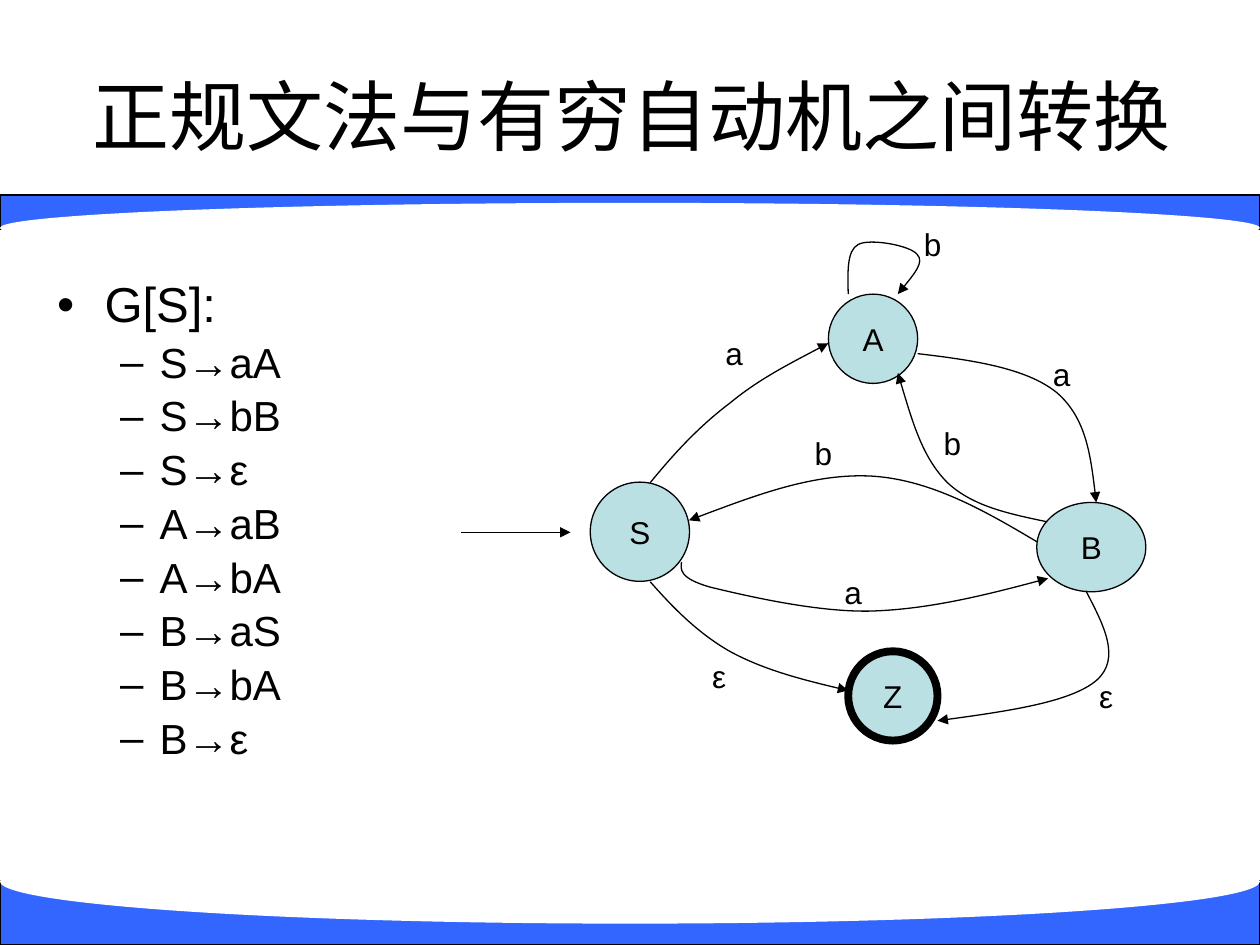
import pptx
import pptx.dml.color
import pptx.enum.shapes
import pptx.enum.text
import pptx.oxml.ns
import pptx.util
from lxml import etree

Cm = pptx.util.Cm
Pt = pptx.util.Pt
qn = pptx.oxml.ns.qn
RGBColor = pptx.dml.color.RGBColor
MSO_SHAPE = pptx.enum.shapes.MSO_SHAPE
MSO_ANCHOR = pptx.enum.text.MSO_ANCHOR
MSO_AUTO_SIZE = pptx.enum.text.MSO_AUTO_SIZE
PP_ALIGN = pptx.enum.text.PP_ALIGN

COLORS = {"band": "3366FF", "paper": "FFFFFF", "ink": "000000", "state": "BBE0E3"}
PALETTE = {name: RGBColor.from_string(value) for name, value in COLORS.items()}


def write_centered(shape, text):
    frame = shape.text_frame
    frame.text = text
    frame.word_wrap = False
    frame.vertical_anchor = MSO_ANCHOR.MIDDLE
    frame.margin_left = frame.margin_right = frame.margin_top = frame.margin_bottom = 0
    paragraph = frame.paragraphs[0]
    paragraph.alignment = PP_ALIGN.CENTER
    font = paragraph.runs[0].font
    font.name, font.size, font.color.rgb = "Arial", Pt(18), PALETTE["ink"]


def draw_arrow_line(shape):
    """Give a line or curve a thin dark stroke ending in a triangle."""
    shape.line.color.rgb = PALETTE["ink"]
    shape.line.width = Pt(0.75)
    stroke = shape.element.find(".//" + qn("a:ln"))
    etree.SubElement(stroke, qn("a:tailEnd"), type="triangle")


presentation = pptx.Presentation()
presentation.slide_width, presentation.slide_height = Cm(25.4), Cm(19.05)
slide = presentation.slides.add_slide(presentation.slide_layouts[1])

# Title
title = slide.shapes.title
title.left, title.top, title.width, title.height = Cm(1.31), Cm(0.73), Cm(22.86), Cm(3.18)
title.text_frame.text = "正规文法与有穷自动机之间转换"
title.text_frame.auto_size = MSO_AUTO_SIZE.NONE
title.text_frame.vertical_anchor = MSO_ANCHOR.MIDDLE
title.text_frame.paragraphs[0].alignment = PP_ALIGN.CENTER
title_font = title.text_frame.paragraphs[0].runs[0].font
title_font.name, title_font.size, title_font.color.rgb = "Arial", Pt(44), PALETTE["ink"]

# Grammar rules
body = slide.placeholders[1]
body.left, body.top, body.width, body.height = Cm(0.9), Cm(5.53), Cm(10.85), Cm(10.8)
rules = ["S→aA", "S→bB", "S→ε", "A→aB", "A→bA", "B→aS", "B→bA", "B→ε"]
body.text_frame.text = "\n".join(["G[S]:"] + rules)
body.text_frame.auto_size = MSO_AUTO_SIZE.NONE
for index, paragraph in enumerate(body.text_frame.paragraphs):
    paragraph.level = 1 if index else 0
    paragraph.line_spacing = 0.9
    if index == 0:
        paragraph.space_before = Pt(0)
    font = paragraph.runs[0].font
    font.name, font.size = "Arial", Pt(24 if index else 28)
    font.color.rgb = PALETTE["ink"]

# Blue bands, each curved by a white ellipse: top and height of both
bands = [(3.93, 0.69, 4.09, 1.01), (17.75, 1.3, 16.92, 1.7)]
master_tree = presentation.slide_master.shapes.element
for band_top, band_height, curve_top, curve_height in bands:
    group = slide.shapes.add_group_shape()
    band = group.shapes.add_shape(
        MSO_SHAPE.RECTANGLE, 0, Cm(band_top), Cm(25.4), Cm(band_height))
    band.fill.solid()
    band.fill.fore_color.rgb = PALETTE["band"]
    band.line.color.rgb = PALETTE["ink"]
    band.line.width = Pt(0.75)
    curve = group.shapes.add_shape(
        MSO_SHAPE.OVAL, 0, Cm(curve_top), Cm(25.4), Cm(curve_height))
    curve.fill.solid()
    curve.fill.fore_color.rgb = PALETTE["paper"]
    curve.line.fill.background()
    band.shadow.inherit = curve.shadow.inherit = False
    # The bands belong to the master, behind its placeholders
    master_tree.insert(2, group.element)

# States: name, left, top, width, height, line width
states = [
    ("S", 11.9, 9.72, 2, 2, 0.75),
    ("A", 16.7, 5.93, 1.8, 1.8, 0.75),
    ("Z", 17.1, 13.13, 1.8, 1.8, 4.5),
    ("B", 20.9, 10.13, 2.2, 1.8, 0.75),
]
for name, left, top, width, height, line_width in states:
    state = slide.shapes.add_shape(
        MSO_SHAPE.OVAL, Cm(left), Cm(top), Cm(width), Cm(height))
    state.shadow.inherit = False
    state.fill.solid()
    state.fill.fore_color.rgb = PALETTE["state"]
    state.line.color.rgb = PALETTE["ink"]
    state.line.width = Pt(line_width)
    write_centered(state, name)

# Start arrow
start_arrow = slide.shapes.add_connector(
    pptx.enum.shapes.MSO_CONNECTOR.STRAIGHT, Cm(9.3), Cm(10.73), Cm(11.5), Cm(10.73))
draw_arrow_line(start_arrow)
etree.SubElement(start_arrow.element.spPr, qn("a:effectLst"))

# Transitions: start point, then three Bézier points for each stretch
transitions = {
    "S to A": [(13.11, 9.73), (13.59, 9.14), (14.1, 8.59), (14.71, 8.13),
               (15.29, 7.65), (16, 7.29), (16.7, 6.92)],
    "S to Z": [(13.11, 11.73), (13.56, 12.24), (14.05, 12.75), (14.71, 13.13),
               (15.37, 13.49), (16.23, 13.72), (17.1, 13.92)],
    "A to B": [(18.5, 7.13), (19.61, 7.26), (20.7, 7.42), (21.31, 7.92),
               (21.89, 8.43), (22, 9.27), (22.1, 10.13)],
    "B to Z": [(21.89, 11.91), (22.25, 12.6), (22.61, 13.28), (22.1, 13.72),
               (21.59, 14.15), (20.24, 14.35), (18.9, 14.53)],
    "A to A": [(17.1, 5.93), (17.09, 5.49), (17.07, 5.05), (17.3, 4.93),
               (17.53, 4.8), (18.36, 4.95), (18.49, 5.13),
               (18.64, 5.28), (18.36, 5.61), (18.1, 5.93)],
    "B to A": [(21.11, 10.52), (20.35, 10.36), (19.61, 10.21), (19.1, 9.73),
               (18.59, 9.22), (18.36, 8.38), (18.1, 7.52)],
    "S to B": [(13.74, 11.33), (13.72, 11.48), (13.69, 11.66), (14.33, 11.84),
               (14.96, 11.99), (16.41, 12.34), (17.53, 12.32),
               (18.67, 12.29), (19.91, 11.99), (21.13, 11.66)],
    "B to S": [(20.9, 10.92), (19.84, 10.29), (18.77, 9.68), (17.6, 9.6),
               (16.43, 9.53), (15.16, 10.01), (13.89, 10.49)],
}
for points in transitions.values():
    start, *controls = [(Cm(x), Cm(y)) for x, y in points]
    builder = slide.shapes.build_freeform(*start)
    builder.add_line_segments(controls, close=False)
    transition = builder.convert_to_shape()
    transition.shadow.inherit = False
    transition.fill.background()
    draw_arrow_line(transition)
    # Merge every three straight segments into one cubic curve
    segments = list(transition.element.iter(qn("a:lnTo")))
    outline = segments[0].getparent()
    for first in range(0, len(segments), 3):
        cubic = etree.SubElement(outline, qn("a:cubicBezTo"))
        for segment in segments[first:first + 3]:
            cubic.append(segment[0])
            outline.remove(segment)

# Transition labels
labels = [
    ("a", 14.3, 6.72), ("b", 18.3, 4.52), ("a", 20.9, 7.13), ("b", 18.7, 8.53),
    ("a", 16.7, 11.53), ("b", 16.1, 8.73), ("ε", 13.9, 13.13), ("ε", 21.7, 13.52),
]
for text, left, top in labels:
    width, height = (1.2, 1) if text == "ε" else (1, 0.8)
    label = slide.shapes.add_textbox(Cm(left), Cm(top), Cm(width), Cm(height))
    write_centered(label, text)

presentation.save("out.pptx")
